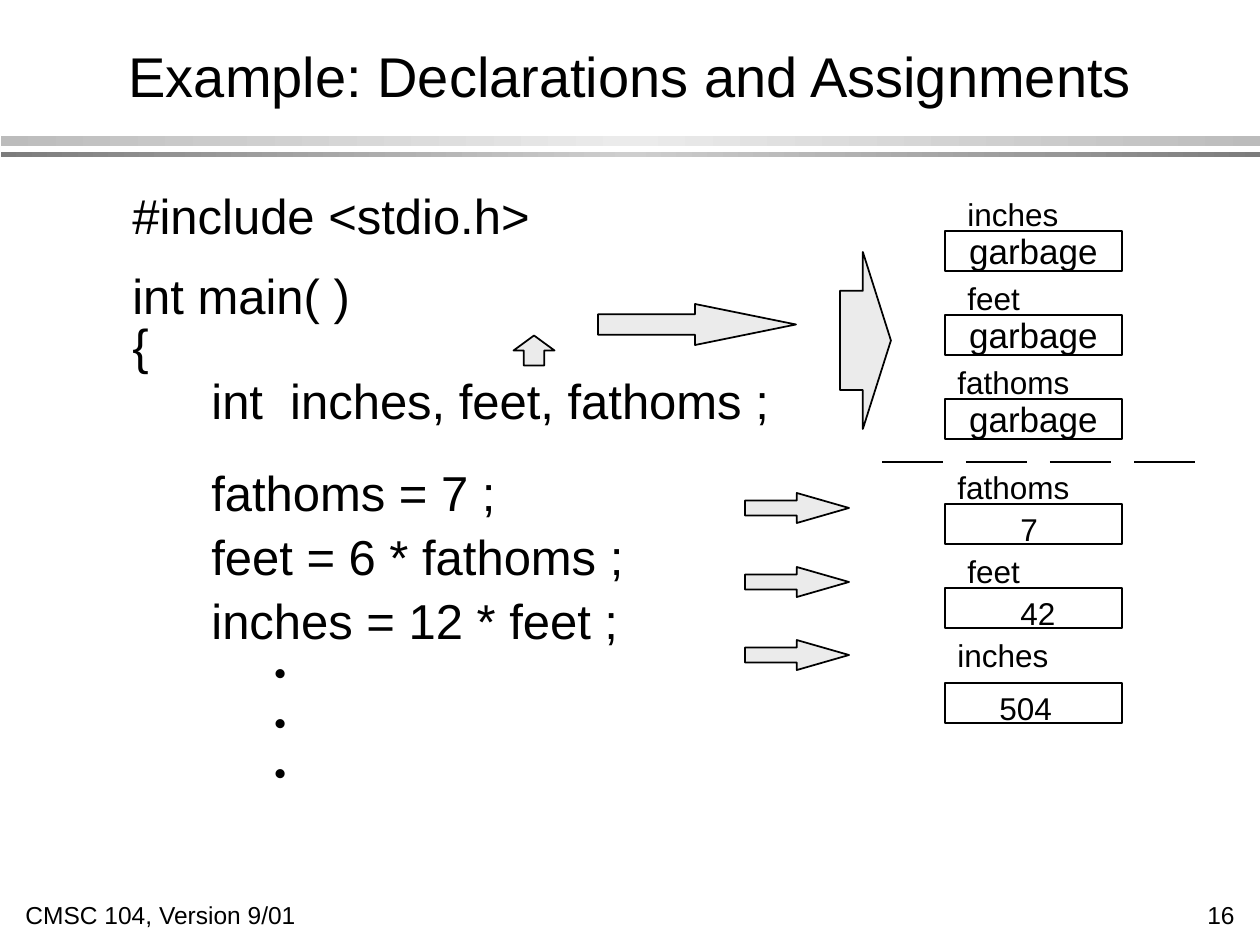
"""Build the declarations and assignments slide."""
from copy import deepcopy
from pptx import Presentation
from pptx.dml.color import RGBColor
from pptx.enum.shapes import MSO_CONNECTOR as CONN, MSO_SHAPE as SHAPE
from pptx.enum.text import MSO_ANCHOR as ANCHOR, MSO_AUTO_SIZE as FIT, PP_ALIGN as ALIGN
from pptx.oxml.ns import qn
from pptx.util import Pt
from lxml.etree import SubElement

PX = 914400 / 126
BLACK = RGBColor(0, 0, 0)
PALE = RGBColor(0xEB, 0xEB, 0xEB)
SILVER = RGBColor(0xBC, 0xBC, 0xBC)
MID = RGBColor(0xCE, 0xCE, 0xCE)
DARK = RGBColor(0x7C, 0x7C, 0x7C)

BARS = [(136, 10, SILVER, PALE), (152, 5, DARK, MID)]
TITLE = "Example: Declarations and Assignments"
FOOTER = [("CMSC 104, Version 9/01", 13, 307, ALIGN.LEFT), ("16", 1193, 54, ALIGN.RIGHT)]

CODE_COLUMNS = ("text", "margin", "before", "spacing")
CODE = [
    ("#include <stdio.h>", 47, 0, 1),
    ("int main( )", 47, 5.4, 1.2),
    ("{", 47, 3.1, 0.75),
    ("int  inches, feet, fathoms ;", 126, 6, 0.75),
    ("fathoms = 7 ;", 126, 19.3, 1),
    ("feet = 6 * fathoms ;", 126, 3.2, 1),
    ("inches = 12 * feet ;", 126, 3.2, 1),
]
DOTS = 3
LABEL_WIDTH = {"inches": 118, "feet": 82, "fathoms": 140}
DECLARED = [("inches", 955, 189), ("feet", 955, 273), ("fathoms", 945, 357)]
ASSIGNED = [
    ("fathoms", 945, 462, 504, "7", 1008, 46),
    ("feet", 955, 546, 588, "42", 1008, 64),
    ("inches", 945, 630, 683, "504", 987, 82),
]
ARROWS = [
    (840, 252, 51, 177, (0.56, 0.55), 0),
    (598, 304, 198, 41, (0.5, 2.46), 0),
    (519, 330, 30, 41, (0.5, 0.5), 270),
] + [(745, 493 + round(73.5 * i), 104, 30, (0.5, 1.74), 0) for i in range(3)]


def px(*values):
    return [round(v * PX) for v in values]


def style(p, size, align=ALIGN.LEFT):
    p.alignment = align
    for r in p.runs:
        r.font.size, r.font.name = Pt(size), "Arial"
        r.font.color.rgb = BLACK


def add_text(s, box, text, size, align=ALIGN.LEFT, anchor=ANCHOR.TOP, wrap=False):
    tf = s.shapes.add_textbox(*px(*box)).text_frame
    tf.word_wrap, tf.vertical_anchor = wrap, anchor
    tf.auto_size = FIT.NONE if wrap else FIT.SHAPE_TO_FIT_TEXT
    tf.text = text
    style(tf.paragraphs[0], size, align)
    return tf


def add_shape(s, kind, box, fill=None):
    sp = s.shapes.add_shape(kind, *px(*box))
    sp.shadow.inherit = False
    if fill is None:
        sp.fill.background()
    else:
        sp.fill.solid()
        sp.fill.fore_color.rgb = fill
    sp.line.color.rgb, sp.line.width = BLACK, Pt(1)
    return sp


def add_bar(s, y, height, edge, middle):
    sp = add_shape(s, SHAPE.RECTANGLE, (1, y, 1259, height), edge)
    sp.line.fill.background()
    sp.fill.gradient()
    sp.fill.gradient_angle = 0
    first = sp._element.spPr.find(qn("a:gradFill")).find(qn("a:gsLst"))[0]
    first.addnext(deepcopy(first))
    for stop, pos, color in zip(sp.fill.gradient_stops, (0, 0.5, 1), (edge, middle, edge)):
        stop.position, stop.color.rgb = pos, color


def add_code(s):
    tf = add_text(s, (73, 179, 1071, 567), CODE[0][0], 28, wrap=True)
    for i, (text, margin, before, spacing) in enumerate(CODE):
        p = tf.paragraphs[0] if i == 0 else tf.add_paragraph()
        p.text = text
        p.space_before, p.line_spacing = Pt(before), spacing
        p._p.get_or_add_pPr().set("marL", str(px(margin)[0]))
        style(p, 28)
    for _ in range(DOTS):
        p = tf.add_paragraph()
        p.text = " "
        p.space_before = Pt(4.5)
        pPr = p._p.get_or_add_pPr()
        pPr.set("marL", str(px(220)[0]))
        pPr.set("indent", str(px(-31)[0]))
        SubElement(pPr, qn("a:buChar")).set("char", "•")
        style(p, 20)


def add_variable(s, label, x, y, box_y):
    add_text(s, (x, y, LABEL_WIDTH[label], 50), label, 18)
    return add_shape(s, SHAPE.RECTANGLE, (945, box_y, 177, 40))


def main():
    prs = Presentation()
    prs.slide_width, prs.slide_height = px(1260, 945)
    s = prs.slides.add_slide(prs.slide_layouts[6])
    for bar in BARS:
        add_bar(s, *bar)
    for text, x, width, align in FOOTER:
        add_text(s, (x, 894, width, 42), text, 14, align, ANCHOR.MIDDLE)
    add_text(s, (95, 42, 1071, 73), TITLE, 32, ALIGN.CENTER, ANCHOR.BOTTOM, True)
    add_code(s)
    for x, y, w, h, adjustments, rotation in ARROWS:
        sp = add_shape(s, SHAPE.RIGHT_ARROW, (x, y, w, h), PALE)
        sp.rotation = rotation
        for i, value in enumerate(adjustments):
            sp.adjustments[i] = value
    for label, x, y in DECLARED:
        tf = add_variable(s, label, x, y, y + 42).text_frame
        tf.word_wrap, tf.vertical_anchor = False, ANCHOR.MIDDLE
        tf.text = "garbage"
        style(tf.paragraphs[0], 20, ALIGN.CENTER)
    for i in range(4):
        x = 882 + 84 * i
        line = s.shapes.add_connector(CONN.STRAIGHT, *px(x, 462, x + 61, 462))
        line.line.color.rgb, line.line.width = BLACK, Pt(1)
        SubElement(line._element.spPr, qn("a:effectLst"))
    for label, x, y, box_y, value, value_x, width in ASSIGNED:
        add_variable(s, label, x, y, box_y)
        add_text(s, (value_x, box_y, width, 50), value, 18)
    prs.save("out.pptx")


if __name__ == "__main__":
    main()
